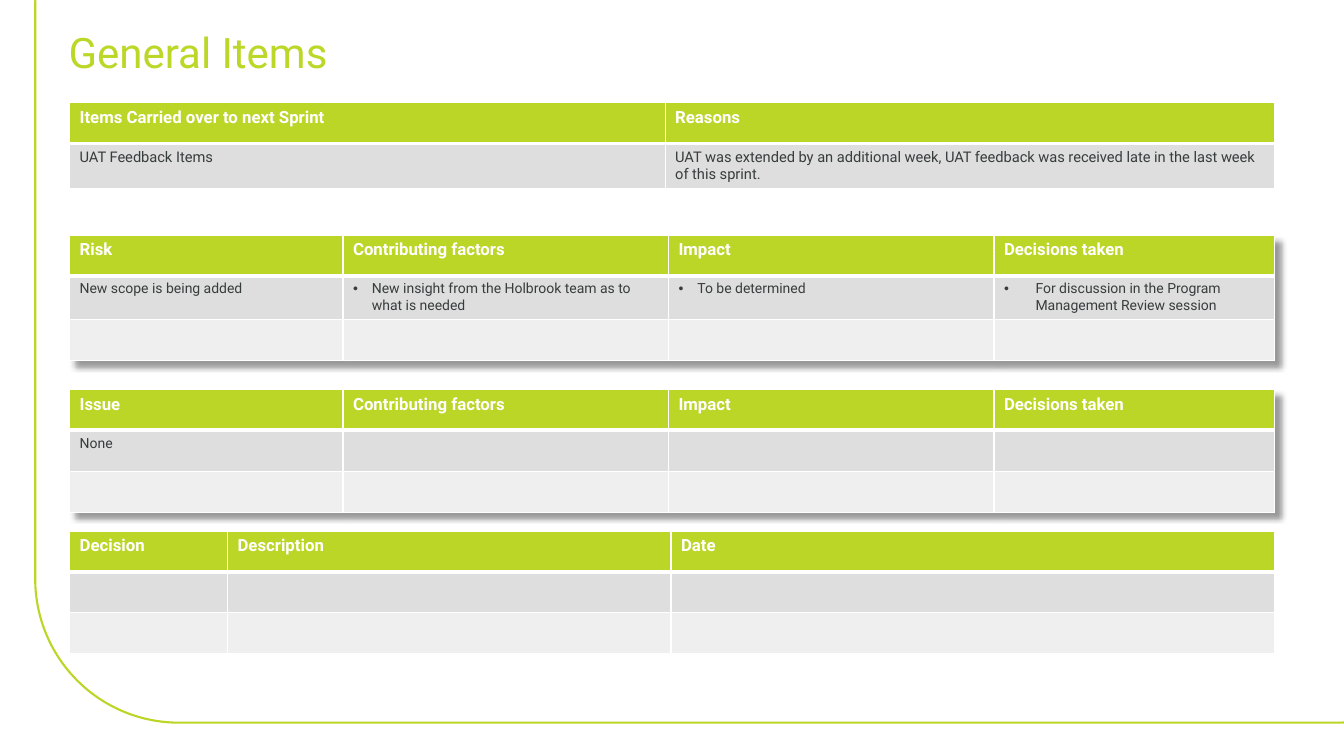
from lxml import etree
from pptx import Presentation
from pptx.dml.color import RGBColor
from pptx.enum.shapes import MSO_SHAPE
from pptx.enum.text import MSO_ANCHOR
from pptx.oxml import parse_xml
from pptx.oxml.ns import nsdecls, qn
from pptx.util import Pt

ROUNDED = MSO_SHAPE.ROUNDED_RECTANGLE
MIDDLE = MSO_ANCHOR.MIDDLE

LIME = RGBColor(0xBB, 0xD6, 0x27)
FRAME_LIME = RGBColor(0xBD, 0xD6, 0x26)
TITLE_LIME = RGBColor(0xBC, 0xD7, 0x27)
WHITE = RGBColor(0xFF, 0xFF, 0xFF)
INK = RGBColor(0x37, 0x3C, 0x3C)
GREY = RGBColor(0xDE, 0xDE, 0xDE)
PALE = RGBColor(0xEF, 0xEF, 0xEF)
ROW_FILLS = [LIME, GREY, PALE]

FONT = "Roboto"
LEFT = 49.7
ROW_H = 29.2
HEADER_RULE = 3
CELL_RULE = 1
LOG_COLS = [195.3, 232.5, 232.5, 200.3]


def add_run(p, text, size, color, bold=False):
    r = p.add_run()
    r.text = text
    r.font.name = FONT
    r.font.size = Pt(size)
    r.font.bold = bold
    r.font.color.rgb = color


def set_borders(cell, top, bottom):
    """Draw white borders; top and bottom are widths in points."""
    widths = {"lnL": CELL_RULE, "lnR": CELL_RULE, "lnT": top, "lnB": bottom}
    tc_pr = cell._tc.get_or_add_tcPr()
    for i, (tag, width) in enumerate(widths.items()):
        tc_pr.insert(i, parse_xml(
            f'<a:{tag} {nsdecls("a")} w="{Pt(width)}"><a:solidFill>'
            f'<a:srgbClr val="{WHITE}"/></a:solidFill></a:{tag}>'))


def set_bullet(p, indent):
    p_pr = p._p.get_or_add_pPr()
    p_pr.set("marL", str(Pt(indent)))
    p_pr.set("indent", str(-Pt(indent)))
    etree.SubElement(p_pr, qn("a:buFont")).set("typeface", "Arial")
    etree.SubElement(p_pr, qn("a:buChar")).set("char", "•")


def add_table_shadow(table):
    table._tbl.tblPr.insert(0, parse_xml(
        f'<a:effectLst {nsdecls("a")}><a:outerShdw blurRad="{Pt(4)}" '
        f'dist="{Pt(5)}" dir="2700000" algn="tl"><a:srgbClr val="000000">'
        '<a:alpha val="40000"/></a:srgbClr></a:outerShdw></a:effectLst>'))


def add_frame(slide, x, y, w, h):
    sp = slide.shapes.add_shape(ROUNDED, Pt(x), Pt(y), Pt(w), Pt(h))
    sp.shadow.inherit = False
    sp.fill.background()
    sp.line.color.rgb = FRAME_LIME
    sp.line.width = Pt(1.5)


def add_title(slide, x, y, w, h, text):
    tf = slide.shapes.add_textbox(Pt(x), Pt(y), Pt(w), Pt(h)).text_frame
    tf.word_wrap = True
    tf.margin_left = tf.margin_right = tf.margin_top = tf.margin_bottom = 0
    tf.vertical_anchor = MIDDLE
    add_run(tf.paragraphs[0], text, 30, TITLE_LIME)


def add_log_table(slide, x, y, col_widths, rows, size=10, indents=None, shadow=False):
    """Place a header row and body rows; indents maps a column to its bullet indent."""
    indents = indents or {}
    table = slide.shapes.add_table(
        len(rows), len(col_widths), Pt(x), Pt(y),
        Pt(sum(col_widths)), Pt(ROW_H * len(rows))).table
    for col, width in zip(table.columns, col_widths):
        col.width = Pt(width)
    for i, texts in enumerate(rows):
        table.rows[i].height = Pt(ROW_H)
        for j, text in enumerate(texts):
            cell = table.cell(i, j)
            cell.fill.solid()
            cell.fill.fore_color.rgb = ROW_FILLS[i]
            set_borders(cell, HEADER_RULE if i == 1 else CELL_RULE,
                        HEADER_RULE if i == 0 else CELL_RULE)
            if not text:
                continue
            p = cell.text_frame.paragraphs[0]
            if i == 0:
                add_run(p, text, 12, WHITE, bold=True)
            else:
                if j in indents:
                    set_bullet(p, indents[j])
                add_run(p, text, size, INK)
    if shadow:
        add_table_shadow(table)


def build_general_items(prs):
    slide = prs.slides.add_slide(prs.slide_layouts[6])
    add_frame(slide, 25.2, -99.4, 1032.5, 615.6)
    add_title(slide, 49, 14.8, 782.6, 45, "General Items")

    log_heads = ["Contributing factors", "Impact", "Decisions taken"]
    add_log_table(slide, LEFT, 167.8, LOG_COLS, [
        ["Risk", *log_heads],
        ["New scope is being added",
         "New insight from the Holbrook team as to what is needed",
         "To be determined",
         "For discussion in the Program Management Review session"],
        [""] * 4,
    ], indents={1: 13.5, 2: 13.5, 3: 22.5}, shadow=True)
    add_log_table(slide, LEFT, 278.2, LOG_COLS, [
        ["Issue", *log_heads],
        ["None", "", "", ""],
        [""] * 4,
    ], shadow=True)
    add_log_table(slide, LEFT, 73.4, [425.4, 435.2], [
        ["Items Carried over to next Sprint", "Reasons"],
        ["UAT Feedback Items",
         "UAT was extended by an additional week, UAT feedback was received "
         "late in the last week of this sprint."],
    ], size=10.5)
    add_log_table(slide, LEFT, 379.4, [112.8, 316.8, 431], [
        ["Decision", "Description", "Date"],
        [""] * 3,
        [""] * 3,
    ])


def main():
    prs = Presentation()
    prs.slide_width = Pt(960)
    prs.slide_height = Pt(540)
    build_general_items(prs)
    prs.save("out.pptx")


if __name__ == "__main__":
    main()
